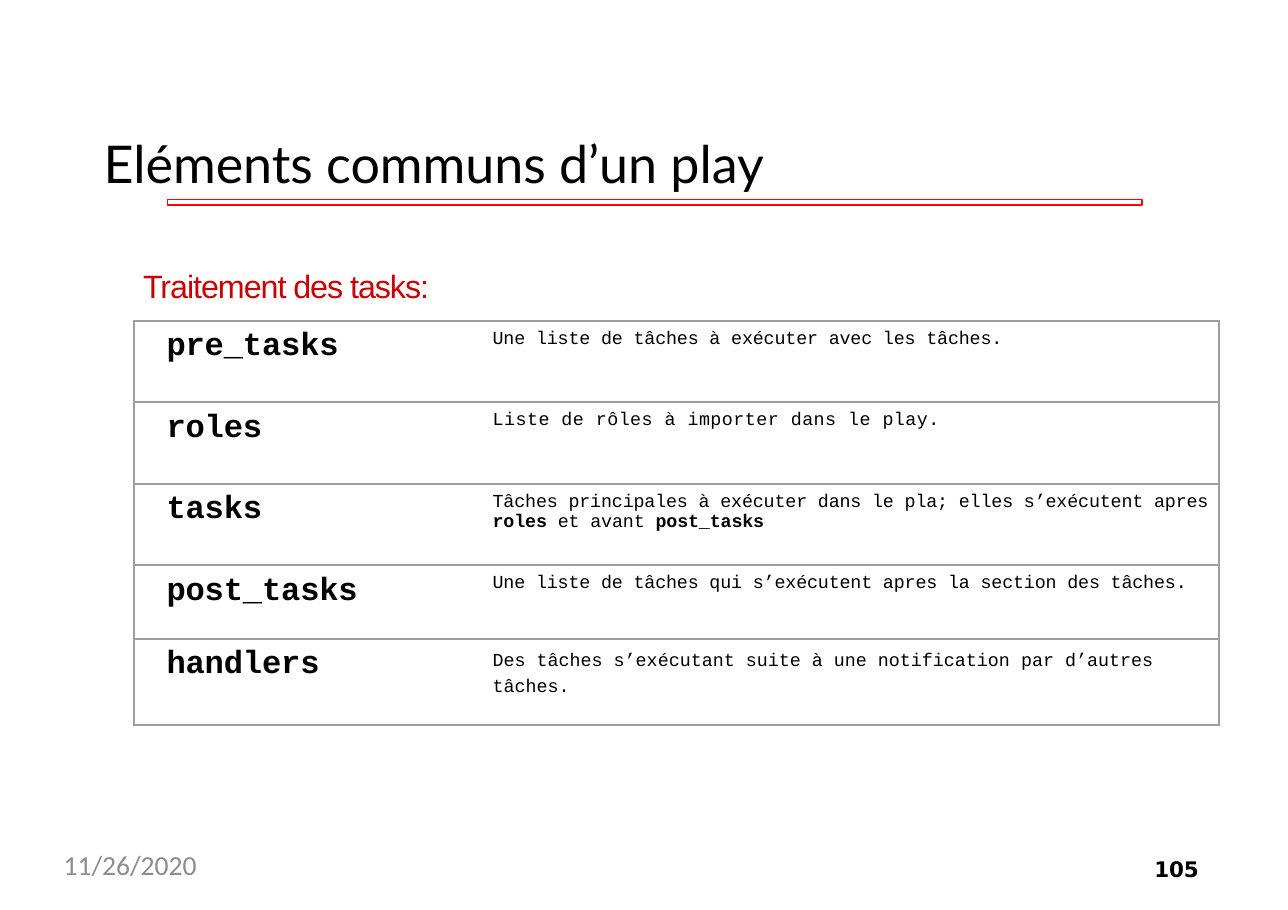
import pptx
import pptx.dml.color
import pptx.enum.shapes
import pptx.enum.text
import pptx.oxml
import pptx.oxml.ns
import pptx.util
from dataclasses import dataclass

Cm = pptx.util.Cm
Pt = pptx.util.Pt
ANCHOR = pptx.enum.text.MSO_ANCHOR


@dataclass(frozen=True)
class Theme:
    ink: str = "000000"
    red: str = "CC0000"
    rule: str = "FB0203"
    border: str = "9E9E9E"
    grey: str = "8C8C8C"
    title_font: str = "Lato"
    heading_font: str = "Arial"
    code_font: str = "Courier New"
    date_font: str = "Calibri"
    number_font: str = "DejaVu Sans"
    title_size: float = 34
    heading_size: float = 21.1
    key_size: float = 21
    body_size: float = 12
    date_size: float = 18
    number_size: float = 14


THEME = Theme()

# Each row: height in cm, keyword, description spans (text, bold), extra format
TASK_ROWS = [
    (1.88, "pre_tasks", [("Une liste de tâches à exécuter avec les tâches.", False)],
     {"spacing": -0.1}),
    (1.88, "roles", [("Liste de rôles à importer dans le play.", False)],
     {"spacing": 0.3}),
    (1.88, "tasks",
     [("Tâches principales à exécuter dans le pla; elles s’exécutent apres ", False),
      ("roles", True), (" et avant ", False), ("post_tasks", True)],
     {"spacing": -0.1}),
    (1.7, "post_tasks",
     [("Une liste de tâches qui s’exécutent apres la section des tâches.", False)],
     {"spacing": -0.1}),
    (1.98, "handlers",
     [("Des tâches s’exécutant suite à une notification par d’autres tâches.", False)],
     {"line_height": 16.5}),
]


def rgb(value):
    return pptx.dml.color.RGBColor.from_string(value)


def write_text(frame, spans, *, font, size, color=THEME.ink, bold=False,
               spacing=0, line_height=None):
    """Write a string, or a list of (text, bold) spans, as one paragraph."""
    frame.word_wrap = True
    para = frame.paragraphs[0]
    if line_height:
        para.line_spacing = Pt(line_height)
    if isinstance(spans, str):
        spans = [(spans, bold)]
    for text, is_bold in spans:
        span = para.add_run()
        span.text = text
        span.font.name = font
        span.font.size = Pt(size)
        span.font.bold = is_bold
        span.font.color.rgb = rgb(color)
        if spacing:
            span._r.get_or_add_rPr().set("spc", str(round(spacing * 100)))


def add_text(slide, text, left, top, width, height, *, anchor=ANCHOR.TOP, **text_format):
    box = slide.shapes.add_textbox(Cm(left), Cm(top), Cm(width), Cm(height))
    frame = box.text_frame
    frame.margin_left = frame.margin_right = frame.margin_bottom = 0
    frame.margin_top = Cm(0.03)
    frame.vertical_anchor = anchor
    write_text(frame, text, **text_format)


def add_title_rule(slide):
    rule = slide.shapes.add_shape(pptx.enum.shapes.MSO_SHAPE.RECTANGLE,
                                  Cm(3.86), Cm(4.6), Cm(22.48), Cm(0.13))
    rule.shadow.inherit = False
    rule.fill.background()
    rule.line.color.rgb = rgb(THEME.rule)
    rule.line.width = Pt(1.1)


def set_borders(cell, hidden_side):
    properties = cell._tc.get_or_add_tcPr()
    namespace = pptx.oxml.ns.nsdecls("a")
    for side in "LRTB":
        if side == hidden_side:
            line = f'<a:ln{side} {namespace} w="0"><a:noFill/></a:ln{side}>'
        else:
            line = (f'<a:ln{side} {namespace} w="{Pt(1.5)}"><a:solidFill>'
                    f'<a:srgbClr val="{THEME.border}"/></a:solidFill></a:ln{side}>')
        properties.append(pptx.oxml.parse_xml(line))


def fill_cell(cell, spans, indent, hidden_side, **text_format):
    set_borders(cell, hidden_side)
    cell.fill.background()
    cell.margin_left, cell.margin_top = Cm(indent), Cm(0.19)
    cell.margin_right = cell.margin_bottom = 0
    cell.vertical_anchor = ANCHOR.TOP
    write_text(cell.text_frame, spans, font=THEME.code_font, **text_format)


def add_task_table(slide):
    widths = (6.58, 18.42)
    height = sum(row[0] for row in TASK_ROWS)
    table = slide.shapes.add_table(len(TASK_ROWS), len(widths), Cm(3.1), Cm(7.39),
                                   Cm(sum(widths)), Cm(height)).table
    table.first_row = table.horz_banding = False
    for column, width in zip(table.columns, widths):
        column.width = Cm(width)
    for row, (height, keyword, description, extra) in zip(table.rows, TASK_ROWS):
        row.height = Cm(height)
        fill_cell(row.cells[0], keyword, 0.74, "R",
                  size=THEME.key_size, bold=True, spacing=-0.1)
        fill_cell(row.cells[1], description, 1.68, "L", size=THEME.body_size, **extra)


def main():
    deck = pptx.Presentation()
    deck.slide_width, deck.slide_height = Cm(29.7), Cm(20.98)
    slide = deck.slides.add_slide(deck.slide_layouts[6])

    # Title and rule
    add_title_rule(slide)
    add_text(slide, "Eléments communs d’un play", 2.39, 3, 20.93, 1.47,
             anchor=ANCHOR.MIDDLE, font=THEME.title_font, size=THEME.title_size)

    # Tasks
    add_text(slide, "Traitement des tasks:", 3.3, 6.12, 7.32, 0.94,
             font=THEME.heading_font, size=THEME.heading_size,
             color=THEME.red, spacing=-0.7)
    add_task_table(slide)

    # Footer
    add_text(slide, "11/26/2020", 1.47, 19.53, 6.83, 1.04,
             font=THEME.date_font, size=THEME.date_size, color=THEME.grey)
    add_text(slide, "105", 26.62, 19.7, 2.4, 0.86, font=THEME.number_font,
             size=THEME.number_size, bold=True, spacing=-0.1)

    deck.save("out.pptx")


if __name__ == "__main__":
    main()
